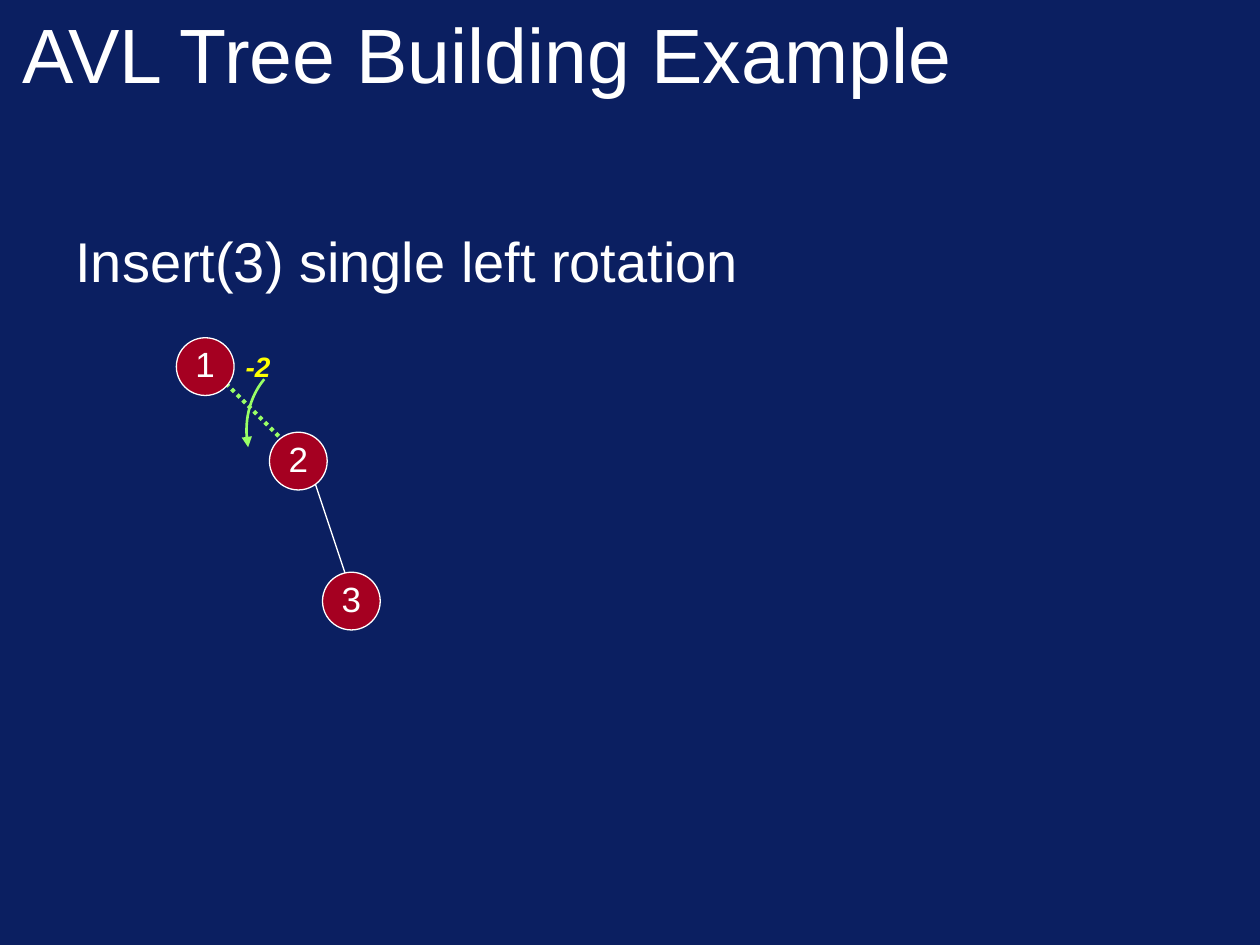
"""Build a slide on a single left rotation in an AVL tree."""
from typing import Any, NamedTuple

import lxml.etree
import pptx
import pptx.dml.color
import pptx.enum.dml
import pptx.enum.shapes
import pptx.enum.text
import pptx.oxml
import pptx.oxml.ns
import pptx.util

Pt = pptx.util.Pt
ALIGN = pptx.enum.text.PP_ALIGN
ANCHOR = pptx.enum.text.MSO_ANCHOR
WHITE, GREEN, RED, YELLOW, NAVY = "FFFFFF", "99FF66", "A50021", "FFFF00", "0B1F61"
NODE_SIZE = 33
LABEL_WIDTH, LABEL_HEIGHT = 42.5, 31.7


class Node(NamedTuple):
    key: str
    left: float
    top: float


class Edge(NamedTuple):
    start: tuple[float, float]
    end: tuple[float, float]
    color: str
    width: float
    dash: Any = None


NODES = [Node("1", 100.8, 193), Node("2", 154, 247), Node("3", 184.3, 327)]
EDGES = [
    Edge((180, 276), (198, 330), WHITE, 0.75),
    Edge((126, 216), (162, 252), GREEN, 2.25, pptx.enum.dml.MSO_LINE.ROUND_DOT),
]
ROTATION_CURVE = [(151, 216.7), (142.6, 226.8), (139, 241.2), (141.8, 255.6)]


def rgb(color: str) -> pptx.dml.color.RGBColor:
    return pptx.dml.color.RGBColor.from_string(color)


def style_line(line: Any, color: str, width: float) -> None:
    line.color.rgb = rgb(color)
    line.width = Pt(width)


def add_text(shapes: Any, text: str, box: tuple[float, float, float, float], size: float,
             color: str = WHITE, align: Any = ALIGN.LEFT, anchor: Any = ANCHOR.TOP,
             wrap: bool = True, accent: bool = False) -> Any:
    frame = shapes.add_textbox(*map(Pt, box)).text_frame
    frame.word_wrap = wrap
    frame.vertical_anchor = anchor
    paragraph = frame.paragraphs[0]
    paragraph.alignment = align
    run = paragraph.add_run()
    run.text = text
    run.font.name = "Arial"
    run.font.size = Pt(size)
    run.font.bold = run.font.italic = accent
    run.font.color.rgb = rgb(color)
    return paragraph


def add_edge(shapes: Any, edge: Edge) -> None:
    connector = shapes.add_connector(pptx.enum.shapes.MSO_CONNECTOR.STRAIGHT,
                                     *map(Pt, edge.start + edge.end))
    style_line(connector.line, edge.color, edge.width)
    if edge.dash:
        connector.line.dash_style = edge.dash
    lxml.etree.SubElement(connector._element.spPr, pptx.oxml.ns.qn("a:effectLst"))


def add_node(shapes: Any, node: Node) -> None:
    members = shapes.add_group_shape().shapes
    circle = members.add_shape(pptx.enum.shapes.MSO_SHAPE.OVAL, Pt(node.left), Pt(node.top),
                               Pt(NODE_SIZE), Pt(NODE_SIZE))
    circle.shadow.inherit = False
    circle.fill.solid()
    circle.fill.fore_color.rgb = rgb(RED)
    style_line(circle.line, WHITE, 0.75)
    label_left = node.left + (NODE_SIZE - LABEL_WIDTH) / 2
    add_text(members, node.key, (label_left, node.top - 0.7, LABEL_WIDTH, LABEL_HEIGHT),
             20, align=ALIGN.CENTER)


def curve_point(t: float) -> tuple[int, int]:
    weights = ((1 - t) ** 3, 3 * t * (1 - t) ** 2, 3 * t * t * (1 - t), t ** 3)
    x, y = (sum(w * c for w, c in zip(weights, axis)) for axis in zip(*ROTATION_CURVE))
    return Pt(x), Pt(y)


def add_rotation_arrow(shapes: Any, steps: int = 16) -> None:
    start, *rest = [curve_point(step / steps) for step in range(steps + 1)]
    builder = shapes.build_freeform(*start)
    builder.add_line_segments(rest, close=False)
    arrow = builder.convert_to_shape()
    arrow.shadow.inherit = False
    arrow.fill.background()
    style_line(arrow.line, GREEN, 1.5)
    tail = lxml.etree.SubElement(arrow.line._get_or_add_ln(), pptx.oxml.ns.qn("a:tailEnd"))
    tail.set("type", "triangle")


def main() -> None:
    deck = pptx.Presentation()
    deck.slide_width, deck.slide_height = Pt(720), Pt(540)
    slide = deck.slides.add_slide(deck.slide_layouts[6])
    slide.background.fill.solid()
    slide.background.fill.fore_color.rgb = rgb(NAVY)
    shapes = slide.shapes
    for edge in EDGES:
        add_edge(shapes, edge)
    add_text(shapes, "AVL Tree Building Example", (6, -6, 648, 72), 44, anchor=ANCHOR.MIDDLE)
    operation = add_text(shapes, "Insert(3) single left rotation", (36, 126, 648, 54), 32)
    operation.space_before = Pt(8)
    for node in NODES:
        add_node(shapes, node)
    add_text(shapes, "-2", (133, 196, 29, 26.6), 16, YELLOW, ALIGN.CENTER,
             wrap=False, accent=True)
    add_rotation_arrow(shapes)
    deck.save("out.pptx")


main()
